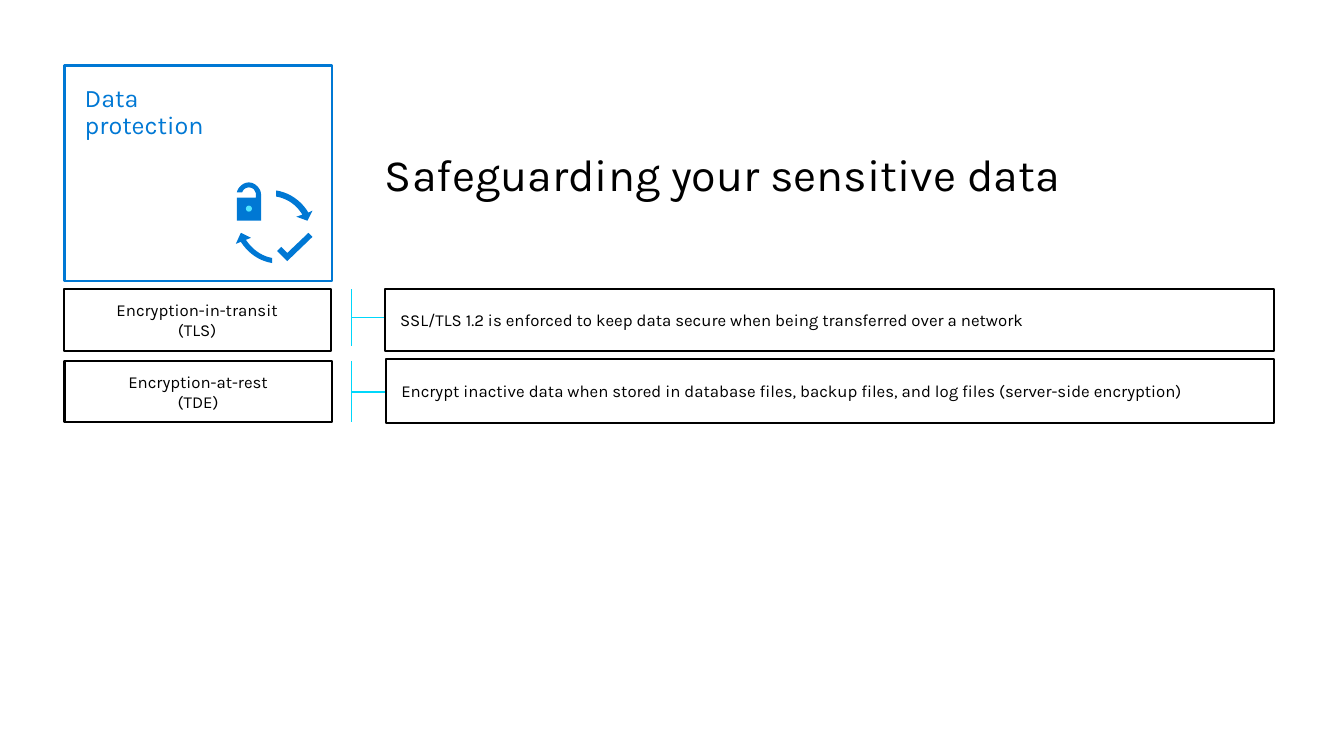
"""Build the data protection slide."""
from lxml import etree
from pptx import Presentation
from pptx.dml.color import RGBColor
from pptx.enum.shapes import MSO_CONNECTOR as Link, MSO_SHAPE as Form
from pptx.enum.text import MSO_ANCHOR as Anchor, MSO_AUTO_SIZE as Fit, PP_ALIGN as Align
from pptx.oxml.ns import qn
from pptx.util import Pt

FONT, BLUE, CYAN, AQUA = "Karla", "0078D4", "00D7FB", "50E6FF"
BLACK, WHITE = "000000", "FFFFFF"
TITLE = "Safeguarding your sensitive data"
TILE = ["Data", "protection"]
ROWS = [
    dict(label=[["Encryption-in-transit"], ["(TLS)"]], left=(45.4, 206.6, 190.8, 43.9),
         note="SSL/TLS 1.2 is enforced to keep data secure when being transferred over a network",
         right=(275, 206.6, 635, 43.9), bar=(206.6, 247), arm=226.8),
    dict(label=[["Encryption-at-rest", "(TDE)"]], left=(46.1, 257.8, 190.8, 43.9),
         note="Encrypt inactive data when stored in database files, backup files, "
              "and log files (server-side encryption)",
         right=(275.8, 256.3, 634.3, 46.1), bar=(257.8, 301.7), arm=280.1),
]
BAR_X, ARM_END = 251.3, 299.5
# Icon outlines in hundredths of an inch: pairs are lines, sixes are curves.
ICON = [
    [(306, 211), (299, 199, 287, 191, 274, 189), (274, 195), (285, 197, 294, 203, 300, 213),
     (294, 215), (305, 219), (310, 209)],
    [(244, 238), (249, 236), (239, 231), (234, 242), (239, 240),
     (246, 251, 257, 259, 270, 261), (270, 256), (259, 254, 250, 247, 244, 238)],
    [(306, 231), (285, 251), (279, 245), (275, 249), (285, 259), (310, 235)],
    [(259, 193), (259, 187, 253, 181, 247, 181), (241, 181, 236, 186, 235, 191), (240, 191),
     (241, 190, 241, 189, 242, 188), (243, 187, 245, 186, 247, 186),
     (249, 186, 251, 187, 252, 188), (253, 190, 254, 191, 254, 193),
     (254, 194, 254, 195, 254, 196), (235, 196), (235, 219), (259, 219), (259, 198)],
]
DOT = (175.7, 146.9, 4.3, 4.3)
UNIT, STEPS = 72, 10


def tint(hex):
    return RGBColor.from_string(hex)


def paint(shape, fill=None, line=None):
    shape.shadow.inherit = False
    if fill:
        shape.fill.solid()
        shape.fill.fore_color.rgb = tint(fill)
    else:
        shape.fill.background()
    if line:
        shape.line.color.rgb = tint(line)
        shape.line.width = Pt(1.5)
    else:
        shape.line.fill.background()


def write(shape, paras, size, color, pads, align=Align.LEFT, anchor=Anchor.MIDDLE,
          after=0, space=1.0):
    frame = shape.text_frame
    frame.word_wrap = True
    frame.vertical_anchor = anchor
    (frame.margin_left, frame.margin_top,
     frame.margin_right, frame.margin_bottom) = map(Pt, pads)
    for i, lines in enumerate(paras):
        para = frame.add_paragraph() if i else frame.paragraphs[0]
        para.alignment, para.line_spacing = align, space
        para.space_before, para.space_after = Pt(0), Pt(after)
        for j, line in enumerate(lines):
            if j:
                para.add_line_break()
            run = para.add_run()
            run.text = line
            run.font.name, run.font.size = FONT, Pt(size)
            run.font.color.rgb = tint(color)


def box(form, area, fill=None, line=None):
    shape = slide.shapes.add_shape(form, *map(Pt, area))
    paint(shape, fill, line)
    return shape


def wire(*ends):
    line = slide.shapes.add_connector(Link.STRAIGHT, *map(Pt, ends))
    line.line.color.rgb = tint(CYAN)
    line.line.width = Pt(1)
    etree.SubElement(line._element.spPr, qn("a:effectLst"))


def trace(path):
    points = [path[0]]
    for part in path[1:]:
        if len(part) == 2:
            points.append(part)
            continue
        knots = [points[-1], part[:2], part[2:4], part[4:]]
        for step in range(1, STEPS + 1):
            t = step / STEPS
            mix = ((1 - t) ** 3, 3 * t * (1 - t) ** 2, 3 * t * t * (1 - t), t ** 3)
            points.append(tuple(sum(m * k[a] for m, k in zip(mix, knots)) for a in (0, 1)))
    return [(round(x * UNIT), round(y * UNIT)) for x, y in points]


deck = Presentation()
deck.slide_width, deck.slide_height = Pt(960), Pt(540)
slide = deck.slides.add_slide(deck.slide_layouts[5])

title = slide.shapes.title
title.left, title.top, title.width, title.height = map(Pt, (275, 105.1, 635, 38.9))
write(title, [[TITLE]], 32, BLACK, (0, 0, 0, 0), anchor=Anchor.TOP)
title.text_frame.auto_size = Fit.SHAPE_TO_FIT_TEXT

tile = box(Form.RECTANGLE, (46.1, 46.8, 190.8, 154.1), line=BLUE)
write(tile, [TILE], 18, BLUE, (14.4,) * 4, anchor=Anchor.TOP, space=0.9)

for path in ICON:
    start, *rest = trace(path)
    pen = slide.shapes.build_freeform(*start, scale=Pt(0.01))
    pen.add_line_segments(rest, close=True)
    paint(pen.convert_to_shape(), BLUE)
box(Form.OVAL, DOT, AQUA)

for row in ROWS:
    top, end = row["bar"]
    wire(BAR_X, top, BAR_X, end)
    wire(BAR_X, row["arm"], ARM_END, row["arm"])
    label = box(Form.RECTANGLE, row["left"], line=BLACK)
    write(label, row["label"], 12, BLACK, (14.4, 11.5, 14.4, 11.5), Align.CENTER)
    note = box(Form.RECTANGLE, row["right"], WHITE, BLACK)
    write(note, [[row["note"]]], 12, BLACK, (10.8, 3.6, 7.2, 3.6), after=9)

deck.save("out.pptx")
